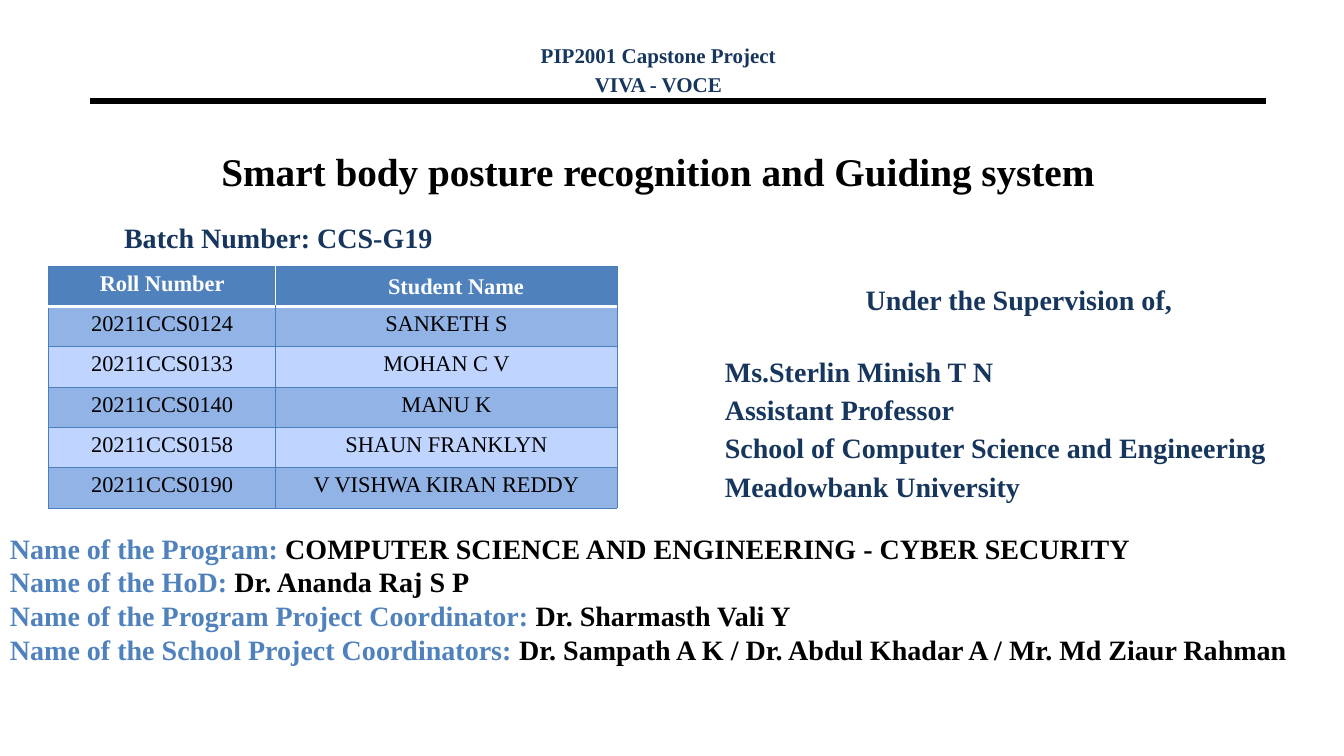
from typing import NamedTuple, Optional

import lxml.etree
import pptx
import pptx.dml.color
import pptx.enum.shapes
import pptx.enum.text
import pptx.oxml.ns
import pptx.util

RGBColor = pptx.dml.color.RGBColor
ALIGN = pptx.enum.text.PP_ALIGN
ANCHOR = pptx.enum.text.MSO_ANCHOR

BLACK = RGBColor(0x00, 0x00, 0x00)
WHITE = RGBColor(0xFF, 0xFF, 0xFF)
NAVY = RGBColor(0x17, 0x36, 0x5D)
BLUE = RGBColor(0x4F, 0x81, 0xBD)
BORDER_BLUE = RGBColor(0x4B, 0x7E, 0xBC)
BAND_DARK = RGBColor(0x92, 0xB3, 0xE5)
BAND_LIGHT = RGBColor(0xBF, 0xD4, 0xFF)

FONT_NAME = "Times New Roman"
SLIDE_WIDTH = pptx.util.Inches(13.33)
SLIDE_HEIGHT = pptx.util.Inches(7.5)


class Area(NamedTuple):
    """A rectangle in percent of the slide's width and height."""
    left: float
    top: float
    width: float
    height: float


class Line(NamedTuple):
    """One paragraph; a label, if any, precedes the text in blue."""
    text: str
    size: float
    color: RGBColor = NAVY
    align: ALIGN = ALIGN.LEFT
    before: float = 0
    bold: bool = True
    label: Optional[str] = None


class TextBlock(NamedTuple):
    area: Area
    lines: list[Line]


class Student(NamedTuple):
    roll_number: str
    name: str


RULE = Area(6.68, 13.33, 87.54, 0)
TITLE = TextBlock(Area(6.45, 15.6, 85, 14), [
    Line("Smart body posture recognition and Guiding system", 28, BLACK, ALIGN.CENTER)])
BATCH = TextBlock(Area(8.48, 28.53, 32.56, 8), [Line("Batch Number: CCS-G19", 20)])

TEXT_BLOCKS = [
    TextBlock(Area(53.19, 36.67, 45.24, 29.47), [
        Line("Under the Supervision of,", 20, align=ALIGN.CENTER),
        Line("Ms.Sterlin Minish T N", 20, before=27.4),
        Line("Assistant Professor", 20, before=3.4),
        Line("School of Computer Science and Engineering", 20, before=3.4),
        Line("Meadowbank University", 20, before=3.4),
    ]),
    TextBlock(Area(32.71, 4.93, 32.56, 8), [
        Line("PIP2001 Capstone Project", 15, align=ALIGN.CENTER),
        Line("VIVA - VOCE", 15, align=ALIGN.CENTER, before=3.1),
    ]),
    TextBlock(Area(0, 69.6, 100, 22.8), [
        Line(text, 20, BLACK, label=label) for label, text in (
            ("Name of the Program: ", "COMPUTER SCIENCE AND ENGINEERING - CYBER SECURITY"),
            ("Name of the HoD: ", "Dr. Ananda Raj S P"),
            ("Name of the Program Project Coordinator: ", "Dr. Sharmasth Vali Y"),
            ("Name of the School Project Coordinators: ",
             "Dr. Sampath A K / Dr. Abdul Khadar A / Mr. Md Ziaur Rahman"),
        )
    ]),
]

TABLE_AREA = Area(3.6, 35.2, 42.31, 32)
COLUMN_SHARES = (0.4, 0.6)
HEADINGS = Student("Roll Number", "Student Name")
STUDENTS = [
    Student("20211CCS0124", "SANKETH S"),
    Student("20211CCS0133", "MOHAN C V"),
    Student("20211CCS0140", "MANU K"),
    Student("20211CCS0158", "SHAUN FRANKLYN"),
    Student("20211CCS0190", "V VISHWA KIRAN REDDY"),
]


def to_emu(area: Area) -> tuple[int, int, int, int]:
    return (round(SLIDE_WIDTH * area.left / 100), round(SLIDE_HEIGHT * area.top / 100),
            round(SLIDE_WIDTH * area.width / 100), round(SLIDE_HEIGHT * area.height / 100))


def write_lines(frame, lines: list[Line]) -> None:
    for index, line in enumerate(lines):
        para = frame.paragraphs[0] if index == 0 else frame.add_paragraph()
        para.alignment = line.align
        para.space_before = pptx.util.Pt(line.before)
        para.font.name = FONT_NAME
        para.font.size = pptx.util.Pt(line.size)
        para.font.bold = line.bold
        para.font.color.rgb = line.color
        if line.label:
            span = para.add_run()
            span.text = line.label
            span.font.color.rgb = BLUE
        para.add_run().text = line.text


def fill_placeholder(holder, block: TextBlock, anchor: ANCHOR) -> None:
    holder.left, holder.top, holder.width, holder.height = to_emu(block.area)
    frame = holder.text_frame
    frame.auto_size = pptx.enum.text.MSO_AUTO_SIZE.NONE
    frame.vertical_anchor = anchor
    write_lines(frame, block.lines)


def add_text_block(slide, block: TextBlock) -> None:
    box = slide.shapes.add_textbox(*to_emu(block.area))
    box.text_frame.word_wrap = True
    write_lines(box.text_frame, block.lines)


def add_rule(slide) -> None:
    left, top, width, height = to_emu(RULE)
    rule = slide.shapes.add_connector(
        pptx.enum.shapes.MSO_CONNECTOR.STRAIGHT, left, top, left + width, top + height)
    rule.line.color.rgb = BLACK
    rule.line.width = pptx.util.Pt(4.5)
    properties = rule._element.spPr
    lxml.etree.SubElement(properties, pptx.oxml.ns.qn("a:effectLst"))


def add_border(cell, side: str, color: RGBColor, points: float) -> None:
    qn = pptx.oxml.ns.qn
    border = lxml.etree.SubElement(cell._tc.get_or_add_tcPr(), qn(f"a:ln{side}"),
                                   w=str(pptx.util.Pt(points)))
    fill = lxml.etree.SubElement(border, qn("a:solidFill"))
    lxml.etree.SubElement(fill, qn("a:srgbClr"), val=str(color))


def format_cell(cell, row: int, column: int) -> None:
    """Borders come before the fill, as the file format demands."""
    for side in "LRTB":
        under_heading = (row, side) in ((0, "B"), (1, "T"))
        inside_heading = row == 0 and (column, side) in ((0, "R"), (1, "L"))
        if under_heading:
            add_border(cell, side, WHITE, 2)
        elif not inside_heading:
            add_border(cell, side, BORDER_BLUE, 0.75)
    cell.fill.solid()
    cell.fill.fore_color.rgb = BLUE if row == 0 else (BAND_LIGHT, BAND_DARK)[row % 2]


def add_student_table(slide) -> None:
    rows = [HEADINGS, *STUDENTS]
    left, top, width, height = to_emu(TABLE_AREA)
    table = slide.shapes.add_table(len(rows), len(COLUMN_SHARES), left, top, width, height).table
    table.horz_banding = False
    for column, share in zip(table.columns, COLUMN_SHARES):
        column.width = round(width * share)
    for row, student in enumerate(rows):
        for column, text in enumerate(student):
            cell = table.cell(row, column)
            format_cell(cell, row, column)
            heading = row == 0
            write_lines(cell.text_frame, [
                Line(text, 16, WHITE if heading else BLACK, ALIGN.CENTER, bold=heading)])
    name_heading = table.cell(0, 1)
    name_heading.margin_left = pptx.util.Inches(0.29)
    name_heading.margin_top = pptx.util.Inches(0.08)


def main() -> None:
    deck = pptx.Presentation()
    deck.slide_width, deck.slide_height = SLIDE_WIDTH, SLIDE_HEIGHT
    page = deck.slides.add_slide(deck.slide_layouts[0])
    add_rule(page)
    fill_placeholder(page.shapes.title, TITLE, ANCHOR.MIDDLE)
    fill_placeholder(page.placeholders[1], BATCH, ANCHOR.TOP)
    for block in TEXT_BLOCKS:
        add_text_block(page, block)
    add_student_table(page)
    deck.save("out.pptx")


if __name__ == "__main__":
    main()
